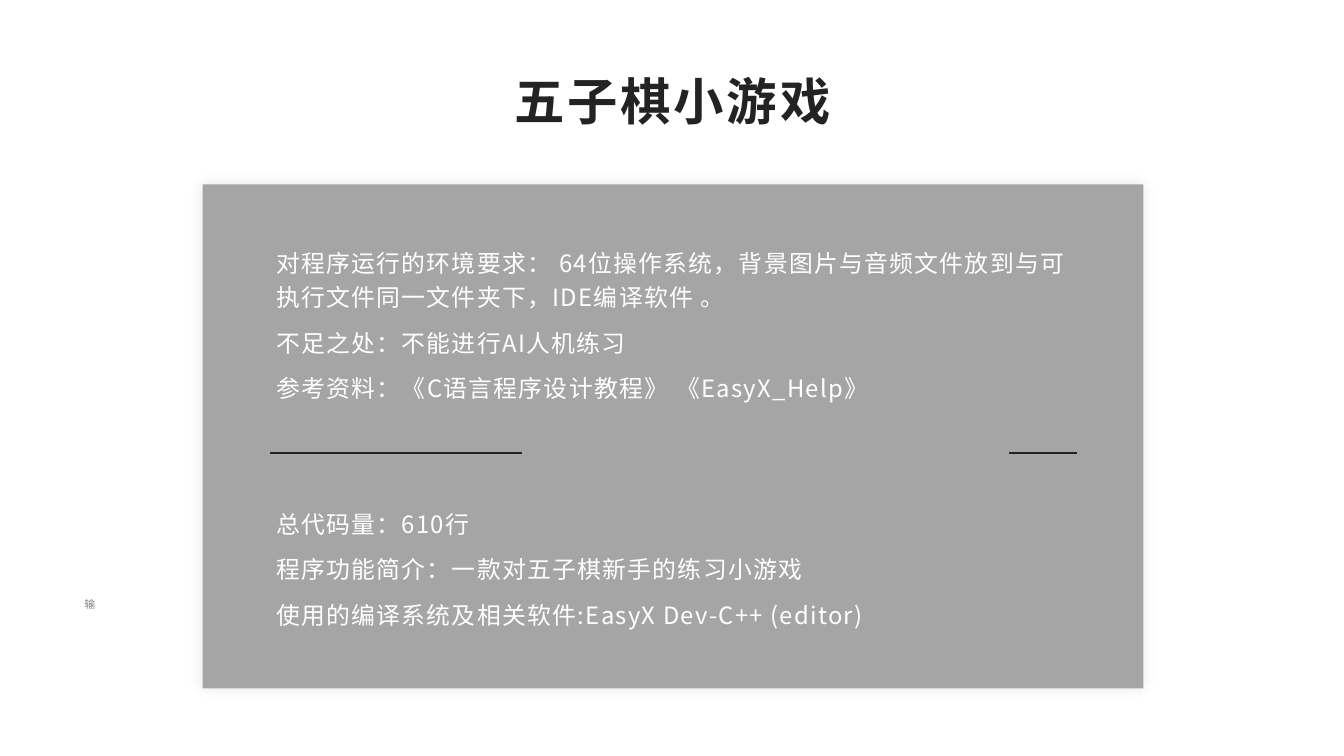
from lxml.etree import SubElement
from pptx import Presentation
from pptx.dml.color import RGBColor
from pptx.enum.shapes import MSO_CONNECTOR, MSO_SHAPE
from pptx.enum.text import MSO_ANCHOR, MSO_AUTO_SIZE, PP_ALIGN
from pptx.oxml.ns import qn
from pptx.util import Inches, Pt

# Content
TITLE = "五子棋小游戏"
SIDE_NOTE = "输"
TEXT_BLOCKS = [
    ((2.67, 2.17, 8, 2.06), [
        "对程序运行的环境要求： 64位操作系统，背景图片与音频文件放到与可执行文件同一文件夹下，IDE编译软件 。",
        "不足之处：不能进行AI人机练习",
        "参考资料：《C语言程序设计教程》 《EasyX_Help》",
    ]),
    ((2.67, 4.74, 8, 1.76), [
        "总代码量：610行",
        "程序功能简介：一款对五子棋新手的练习小游戏",
        "使用的编译系统及相关软件:EasyX Dev-C++ (editor)",
    ]),
]
DIVIDER_Y = 4.49
DIVIDERS = [(2.68, 5.18), (10.01, 10.68)]

FONT = "Noto Sans CJK SC"
DARK, WHITE, GREY, PANEL = "232323", "FFFFFF", "808080", "A5A5A5"


def color(value):
    return RGBColor.from_string(value)


def place(shape, left, top, width, height):
    shape.left, shape.top = Inches(left), Inches(top)
    shape.width, shape.height = Inches(width), Inches(height)


def set_frame(frame, anchor, side=0.07, end=0.03):
    frame.word_wrap = True
    frame.auto_size = MSO_AUTO_SIZE.NONE
    frame.vertical_anchor = anchor
    frame.margin_left = frame.margin_right = Inches(side)
    frame.margin_top = frame.margin_bottom = Inches(end)


def format_runs(para, size, fill, font=FONT, bold=False, spacing=0):
    for span in para.runs:
        span.font.size = Pt(size)
        span.font.bold = bold
        span.font.color.rgb = color(fill)
        span.font.name = font
        properties = span.font._element
        properties.set("spc", str(round(spacing * 100)))
        SubElement(properties, qn("a:ea"), typeface=FONT)


def add_text(page, area):
    return page.shapes.add_textbox(*(Inches(length) for length in area))


deck = Presentation()
deck.slide_width, deck.slide_height = Inches(13.33), Inches(7.5)
page = deck.slides.add_slide(deck.slide_layouts[5])

# Side note
note = add_text(page, (0.84, 5.87, 11.65, 0.19))
set_frame(note.text_frame, MSO_ANCHOR.TOP, 0, 0)
note.text_frame.text = SIDE_NOTE
para = note.text_frame.paragraphs[0]
para.alignment = PP_ALIGN.JUSTIFY
para.line_spacing = 1.5
format_runs(para, 7.6, GREY, "Arial")

# Panel with a soft glow-like shadow
panel = page.shapes.add_shape(MSO_SHAPE.RECTANGLE, 0, 0, 0, 0)
place(panel, 2.01, 1.83, 9.33, 5)
panel.fill.solid()
panel.fill.fore_color.rgb = color(PANEL)
panel.line.fill.background()
panel.shadow.inherit = False
effects = panel._element.spPr.find(qn("a:effectLst"))
shadow = SubElement(effects, qn("a:outerShdw"), blurRad=str(Pt(10)),
                    dist="0", dir="0", algn="ctr", rotWithShape="0")
shadow_color = SubElement(shadow, qn("a:srgbClr"), val="000000")
SubElement(shadow_color, qn("a:alpha"), val="10000")

# Divider lines
for start, end in DIVIDERS:
    divider = page.shapes.add_connector(
        MSO_CONNECTOR.STRAIGHT, Inches(start), Inches(DIVIDER_Y),
        Inches(end), Inches(DIVIDER_Y))
    divider.line.color.rgb = color(DARK)
    divider.line.width = Pt(1.5)
    SubElement(divider._element.spPr, qn("a:effectLst"))

# Title
title = page.shapes.title
place(title, 0.67, 0.67, 12, 0.67)
set_frame(title.text_frame, MSO_ANCHOR.TOP)
title.text_frame.text = TITLE
para = title.text_frame.paragraphs[0]
para.alignment = PP_ALIGN.CENTER
format_runs(para, 36, DARK, bold=True, spacing=2)

# Text blocks
for area, lines in TEXT_BLOCKS:
    frame = add_text(page, area).text_frame
    set_frame(frame, MSO_ANCHOR.MIDDLE)
    frame.text = "\n".join(lines)
    for para in frame.paragraphs:
        para.line_spacing = 1.2
        para.space_after = Pt(8)
        format_runs(para, 17, WHITE, spacing=0.9)

deck.save("out.pptx")
